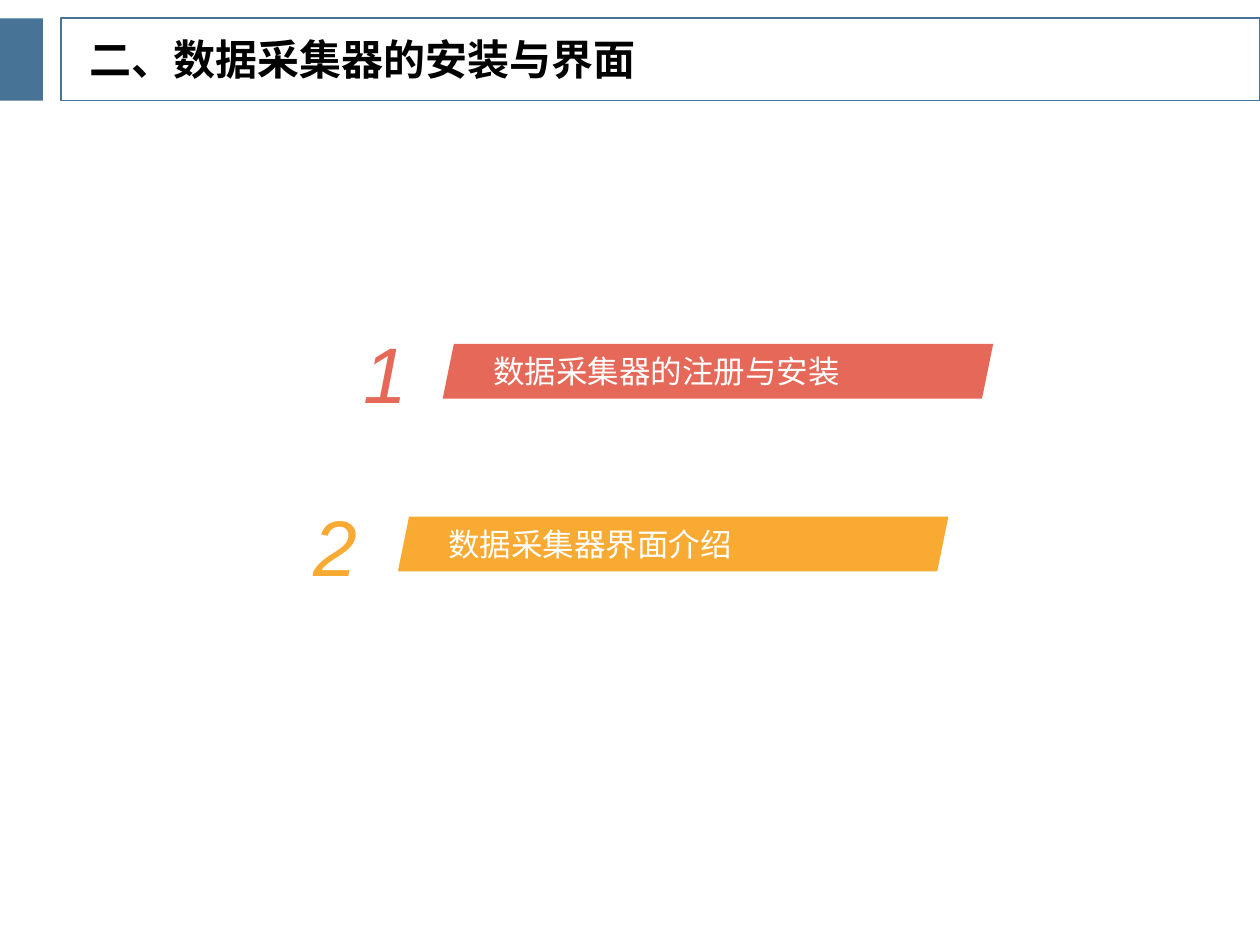
import dataclasses

import pptx
import pptx.dml.color
import pptx.enum.shapes
import pptx.enum.text
import pptx.oxml.ns
import pptx.util
from lxml import etree

Pt = pptx.util.Pt
SHAPE = pptx.enum.shapes.MSO_SHAPE
ALIGN = pptx.enum.text.PP_ALIGN


@dataclasses.dataclass(frozen=True)
class Theme:
    header: str = "467396"
    title_ink: str = "000000"
    label_ink: str = "FFFFFF"
    coral: str = "E66858"
    amber: str = "F9AA33"
    body_font: str = "TeX Gyre Adventor"
    number_font: str = "Arial"
    title_size: float = 24
    label_size: float = 18
    number_size: float = 45
    outline: float = 1


def rgb(value):
    return pptx.dml.color.RGBColor.from_string(value)


class SlideBuilder:
    def __init__(self, slide, theme):
        self.slide = slide
        self.theme = theme

    def shape(self, kind, box, fill=None, line=None):
        item = self.slide.shapes.add_shape(kind, *map(Pt, box))
        item.shadow.inherit = False
        if fill:
            item.fill.solid()
            item.fill.fore_color.rgb = rgb(fill)
        else:
            item.fill.background()
        if line:
            item.line.color.rgb = rgb(line)
            item.line.width = Pt(self.theme.outline)
        else:
            item.line.fill.background()
        return item

    def set_text(self, item, text, size, color, font, align, insets=(0, 0),
                 bold=False, italic=False):
        frame = item.text_frame
        frame.word_wrap = True
        frame.auto_size = pptx.enum.text.MSO_AUTO_SIZE.NONE
        frame.vertical_anchor = pptx.enum.text.MSO_ANCHOR.MIDDLE
        frame.margin_left = frame.margin_right = Pt(insets[0])
        frame.margin_top = frame.margin_bottom = Pt(insets[1])
        paragraph = frame.paragraphs[0]
        paragraph.alignment = align
        run = paragraph.add_run()
        run.text = text
        run.font.size = Pt(size)
        run.font.name = font
        run.font.bold = bold
        run.font.italic = italic
        run.font.color.rgb = rgb(color)
        east_asian = etree.SubElement(run.font._element, pptx.oxml.ns.qn("a:ea"))
        east_asian.set("typeface", font)
        return paragraph

    def title(self, text, box):
        heading = self.slide.shapes.title
        heading.left, heading.top, heading.width, heading.height = map(Pt, box)
        paragraph = self.set_text(heading, text, self.theme.title_size,
                                  self.theme.title_ink, self.theme.body_font,
                                  ALIGN.LEFT, insets=(7.2, 3.6), bold=True)
        paragraph.line_spacing = 0.9

    def banner(self, text, box, color):
        banner = self.shape(SHAPE.PARALLELOGRAM, box, fill=color)
        banner.adjustments[0] = 0.204
        self.set_text(banner, text, self.theme.label_size, self.theme.label_ink,
                      self.theme.body_font, ALIGN.JUSTIFY)

    def number(self, text, box, color):
        number = self.slide.shapes.add_textbox(*map(Pt, box))
        self.set_text(number, text, self.theme.number_size, color,
                      self.theme.number_font, ALIGN.CENTER, italic=True)


theme = Theme()
deck = pptx.Presentation()
deck.slide_width, deck.slide_height = Pt(720), Pt(540)
page = SlideBuilder(deck.slides.add_slide(deck.slide_layouts[5]), theme)

# Header band
header_top, header_height = 10.5, 47
page.shape(SHAPE.RECTANGLE, (0, header_top, 24.6, header_height), fill=theme.header)
page.shape(SHAPE.RECTANGLE, (35, header_top, 685, header_height), line=theme.header)
page.title("二、数据采集器的安装与界面", (44, 17.2, 339, 36.7))

# Numbered agenda, stepping left on each row
agenda = [
    ("数据采集器的注册与安装", theme.coral, 253, 184.3),
    ("数据采集器界面介绍", theme.amber, 227.4, 155.5),
]
first_top, row_pitch = 196.5, 98.7
banner_width, banner_height = 314.6, 31.3
number_width, number_height = 72, 94.3
for index, (topic, color, banner_left, number_left) in enumerate(agenda):
    top = first_top + index * row_pitch
    page.banner(topic, (banner_left, top, banner_width, banner_height), color)
    number_top = top + (banner_height - number_height) / 2 + 0.5
    page.number(str(index + 1),
                (number_left, number_top, number_width, number_height), color)

deck.save("out.pptx")
